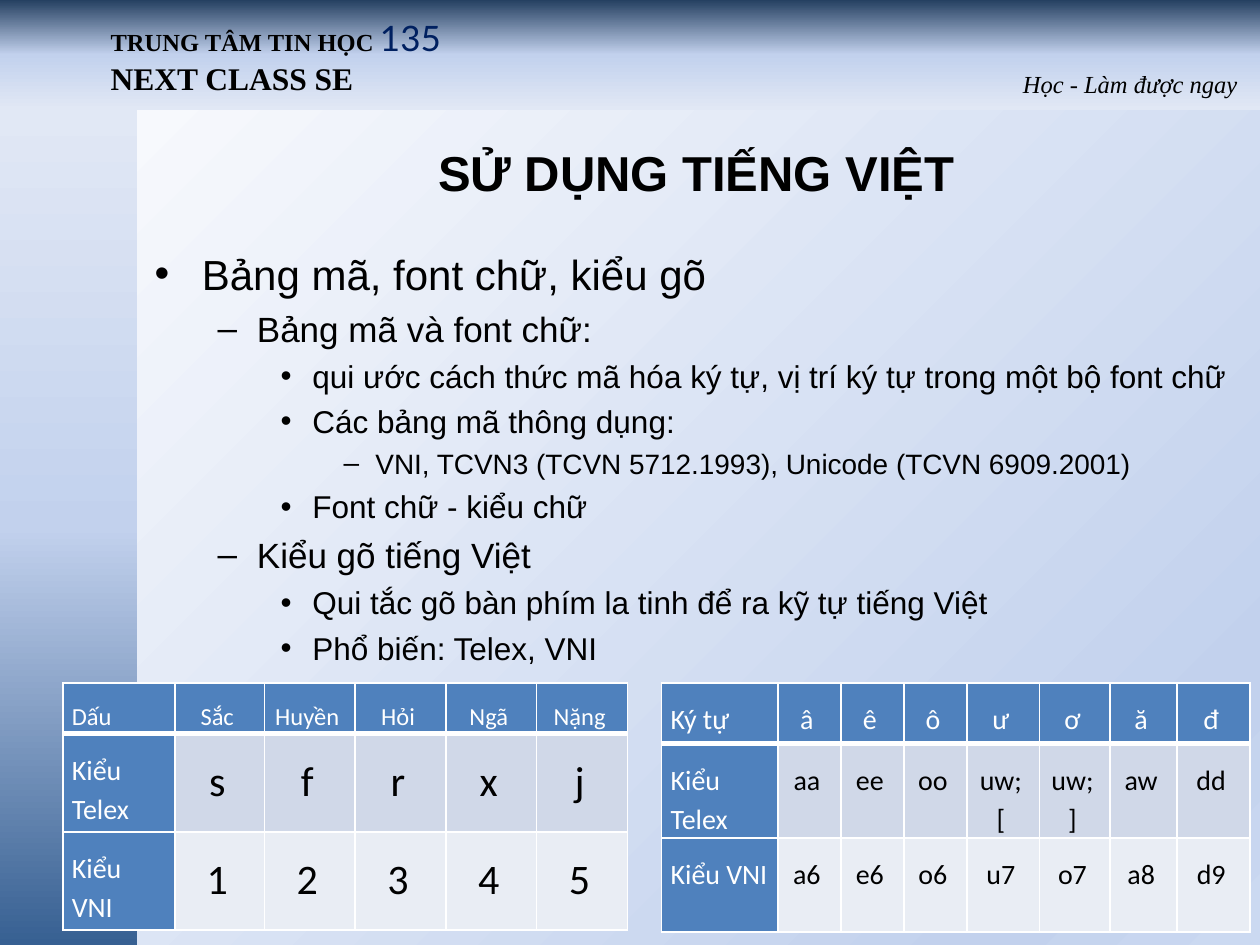
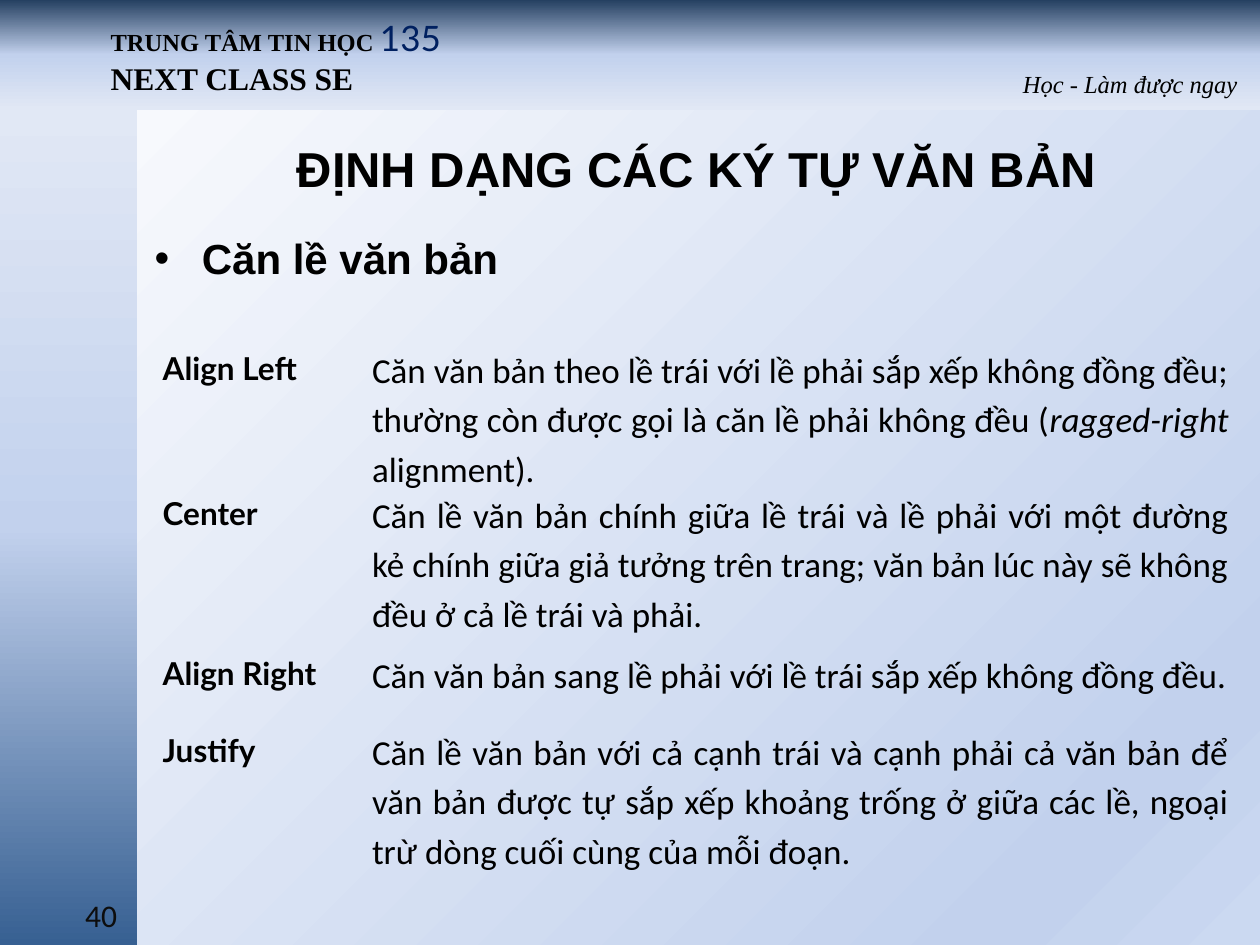
from copy import deepcopy

from lxml.etree import SubElement
from pptx import Presentation
from pptx.dml.color import RGBColor
from pptx.enum.shapes import MSO_SHAPE
from pptx.enum.text import MSO_ANCHOR, PP_ALIGN
from pptx.oxml.ns import qn
from pptx.util import Cm, Pt

HUES = {
    "ink": "000000", "navy": "002060", "page": "0D0D0D", "white": "FFFFFF",
    "dark": "254061", "steel": "376092", "mist": "C2D1ED", "pale": "E1E8F5",
    "sky": "CBD9F1", "head": "4F81BD", "odd": "D0D8E8", "even": "E9EDF4",
}
PLAIN = "{2D5ABB26-0587-4C30-8999-92F81FD0307C}"
LEVELS = [
    ("•", 24, 0.95, 0.95),
    ("–", 20, 2.06, 0.79),
    ("•", 18, 3.18, 0.64),
    ("–", 16, 4.45, 0.64),
]
POINTS = [
    (0, "Bảng mã, font chữ, kiểu gõ"),
    (1, "Bảng mã và font chữ:"),
    (2, "qui ước cách thức mã hóa ký tự, vị trí ký tự trong một bộ font chữ"),
    (2, "Các bảng mã thông dụng:"),
    (3, "VNI, TCVN3 (TCVN 5712.1993), Unicode (TCVN 6909.2001)"),
    (2, "Font chữ - kiểu chữ"),
    (1, "Kiểu gõ tiếng Việt"),
    (2, "Qui tắc gõ bàn phím la tinh để ra kỹ tự tiếng Việt"),
    (2, "Phổ biến: Telex, VNI"),
]
TONES = [
    ["Dấu", "Sắc", "Huyền", "Hỏi", "Ngã", "Nặng"],
    ["Kiểu Telex", *"sfrxj"],
    ["Kiểu VNI", *"12345"],
]
MARKS = [
    ["Ký tự", *"âêôươăđ"],
    ["Kiểu Telex", "aa", "ee", "oo", "uw; [", "uw; ]", "aw", "dd"],
    ["Kiểu VNI", "a6", "e6", "o6", "u7", "o7", "a8", "d9"],
]
ALIGNS = [
    ("Align Left", [
        ("Căn văn bản theo lề trái với lề phải sắp xếp không đồng đều; "
         "thường còn được gọi là căn lề phải không đều (", False),
        ("ragged-right", True), (" alignment).", False)]),
    ("Center", [
        ("Căn lề văn bản chính giữa lề trái và lề phải với một đường kẻ "
         "chính giữa giả tưởng trên trang; văn bản lúc này sẽ không đều "
         "ở cả lề trái và phải.", False)]),
    ("Align Right", [
        ("Căn văn bản sang lề phải với lề trái sắp xếp không đồng đều.",
         False)]),
    ("Justify", [
        ("Căn lề văn bản với cả cạnh trái và cạnh phải cả văn bản để văn "
         "bản được tự sắp xếp khoảng trống ở giữa các lề, ngoại trừ dòng "
         "cuối cùng của mỗi đoạn.", False)]),
]


def tint(name):
    return RGBColor.from_string(HUES[name])


def blend(fill, root, angle, *hues, mid=0.5):
    fill.gradient()
    fill.gradient_angle = angle
    stops = root.find(".//" + qn("a:gsLst"))
    stops.append(deepcopy(stops[0]))
    for stop, spot, hue in zip(fill.gradient_stops, (0, mid, 1), hues):
        stop.position = spot
        stop.color.rgb = tint(hue)


def write(para, text, size, face="Arial", hue="ink", bold=False, slant=False):
    run = para.add_run()
    run.text = text
    font = run.font
    font.name, font.size = face, Pt(size)
    font.bold, font.italic = bold, slant
    font.color.rgb = tint(hue)


def add_box(slide, *area):
    frame = slide.shapes.add_textbox(*map(Cm, area)).text_frame
    frame.word_wrap = True
    return frame


def add_band(slide, area, angle, hue):
    band = slide.shapes.add_shape(MSO_SHAPE.RECTANGLE, *map(Cm, area))
    band.shadow.inherit = False
    band.line.fill.background()
    blend(band.fill, band._element, angle, hue, "mist", "pale")


def add_label(slide, area, runs, align=PP_ALIGN.LEFT):
    para = add_box(slide, *area).paragraphs[0]
    para.alignment = align
    for text, size, style in runs:
        write(para, text, size, **style)


def add_frame(slide):
    serif = {"face": "Times New Roman"}
    add_band(slide, (0, 0, 25.4, 2.21), 270, "dark")
    add_band(slide, (0, 2.21, 2.77, 16.84), 90, "steel")
    add_label(slide, (1.98, 1.07, 10.36, 1.02),
              [("NEXT CLASS SE", 18, {**serif, "bold": True})])
    add_label(slide, (1.98, 0.2, 15.44, 1.12),
              [("TRUNG TÂM TIN HỌC ", 14, {**serif, "bold": True}),
               ("135", 20, {"face": "Lato", "hue": "navy"})])
    add_label(slide, (17.15, 1.27, 8.05, 0.86),
              [("Học - Làm được ngay", 14, {**serif, "slant": True})],
              PP_ALIGN.RIGHT)


def add_title(slide, text, top):
    title = slide.shapes.title
    title.left, title.top = Cm(2.87), Cm(top)
    title.width, title.height = Cm(22.33), Cm(2.36)
    frame = title.text_frame
    frame.vertical_anchor = MSO_ANCHOR.MIDDLE
    para = frame.paragraphs[0]
    para.alignment = PP_ALIGN.CENTER
    write(para, text, 28, bold=True)


def add_list(slide, top, height, points, bold=False):
    frame = add_box(slide, 2.87, top, 22.33, height)
    for i, (level, text) in enumerate(points):
        para = frame.add_paragraph() if i else frame.paragraphs[0]
        sign, size, left, hang = LEVELS[level]
        props = para._p.get_or_add_pPr()
        props.set("marL", str(Cm(left)))
        props.set("indent", str(-Cm(hang)))
        SubElement(props, qn("a:buFont")).set("typeface", "Arial")
        SubElement(props, qn("a:buChar")).set("char", sign)
        para.level = level
        if i:
            para.space_before = Pt(round(size * 0.24, 1))
        write(para, text, size, bold=bold)


def add_grid(slide, left, top, cols, rows):
    shape = slide.shapes.add_table(
        len(rows), len(cols), Cm(left), Cm(top), Cm(sum(cols)), Cm(sum(rows)))
    grid = shape.table
    grid.first_row = grid.horz_banding = False
    grid._tbl.tblPr.find(qn("a:tableStyleId")).text = PLAIN
    for col, width in zip(grid.columns, cols):
        col.width = Cm(width)
    for row, height in zip(grid.rows, rows):
        row.height = Cm(height)
    return grid


def pad(cell, left, top, right):
    cell.margin_left, cell.margin_top = Cm(left), Cm(top)
    cell.margin_right, cell.margin_bottom = Cm(right), 0
    para = cell.text_frame.paragraphs[0]
    para.line_spacing = 1.15
    return para


def edge(cell, row):
    props = cell._tc.get_or_add_tcPr()
    thick = {"T": 3 if row == 1 else 1, "B": 1 if row else 3}
    for side in "LRTB":
        line = SubElement(props, qn("a:ln" + side))
        line.set("w", str(Pt(thick.get(side, 1))))
        solid = SubElement(line, qn("a:solidFill"))
        SubElement(solid, qn("a:srgbClr")).set("val", HUES["white"])


def add_keys(slide, left, cols, rows, data, top_size, key_size):
    grid = add_grid(slide, left, 13.77, cols, rows)
    for r, line in enumerate(data):
        for c, text in enumerate(line):
            cell = grid.cell(r, c)
            head = r == 0 or c == 0
            para = pad(cell, 0.18, 0.3, 0.28 if c else 0.2)
            para.alignment = PP_ALIGN.CENTER if c else PP_ALIGN.LEFT
            edge(cell, r)
            cell.fill.solid()
            cell.fill.fore_color.rgb = tint(
                "head" if head else ("even", "odd")[r % 2])
            size = top_size if r == 0 else key_size if c else 16
            write(para, text, size, "Calibri", "white" if head else "ink")


def add_terms(slide):
    grid = add_grid(slide, 3.1, 6.93, [4.22, 17.63], [2.24, 3.23, 1.55, 3.1])
    for r, (term, runs) in enumerate(ALIGNS):
        name, note = grid.cell(r, 0), grid.cell(r, 1)
        for cell in (name, note):
            cell.fill.background()
        write(pad(name, 0.18, 0, 0.18), term, 18, "Lato", bold=True)
        para = pad(note, 0.18, 0, 0.18)
        para.alignment = PP_ALIGN.JUSTIFY
        for text, slant in runs:
            write(para, text, 20, "Calibri", slant=slant)


def add_page(deck, title, top):
    slide = deck.slides.add_slide(deck.slide_layouts[5])
    add_frame(slide)
    add_title(slide, title, top)
    return slide


def main():
    deck = Presentation()
    deck.slide_width, deck.slide_height = Cm(25.4), Cm(19.05)
    base = deck.slide_master
    blend(base.background.fill, base._element, 135,
          "sky", "mist", "white", mid=0.13)

    typing = add_page(deck, "SỬ DỤNG TIẾNG VIỆT", 2.29)
    add_list(typing, 4.88, 8.46, POINTS)
    add_keys(typing, 1.27, [2.26, 1.8] + [1.83] * 4, [1.02, 1.98, 1.98],
             TONES, 14, 24)
    add_keys(typing, 13.34, [2.34] + [1.27] * 3 + [1.47, 1.42, 1.35, 1.47],
             [1.22, 1.9, 1.9], MARKS, 16, 16)

    layout = add_page(deck, "ĐỊNH DẠNG CÁC KÝ TỰ VĂN BẢN", 2.21)
    add_list(layout, 4.57, 14.15, [(0, "Căn lề văn bản")], bold=True)
    add_terms(layout)
    add_label(layout, (1.09, 17.93, 1.52, 1.02),
              [("40", 18, {"face": "Calibri", "hue": "page"})],
              PP_ALIGN.RIGHT)
    deck.save("out.pptx")


if __name__ == "__main__":
    main()
